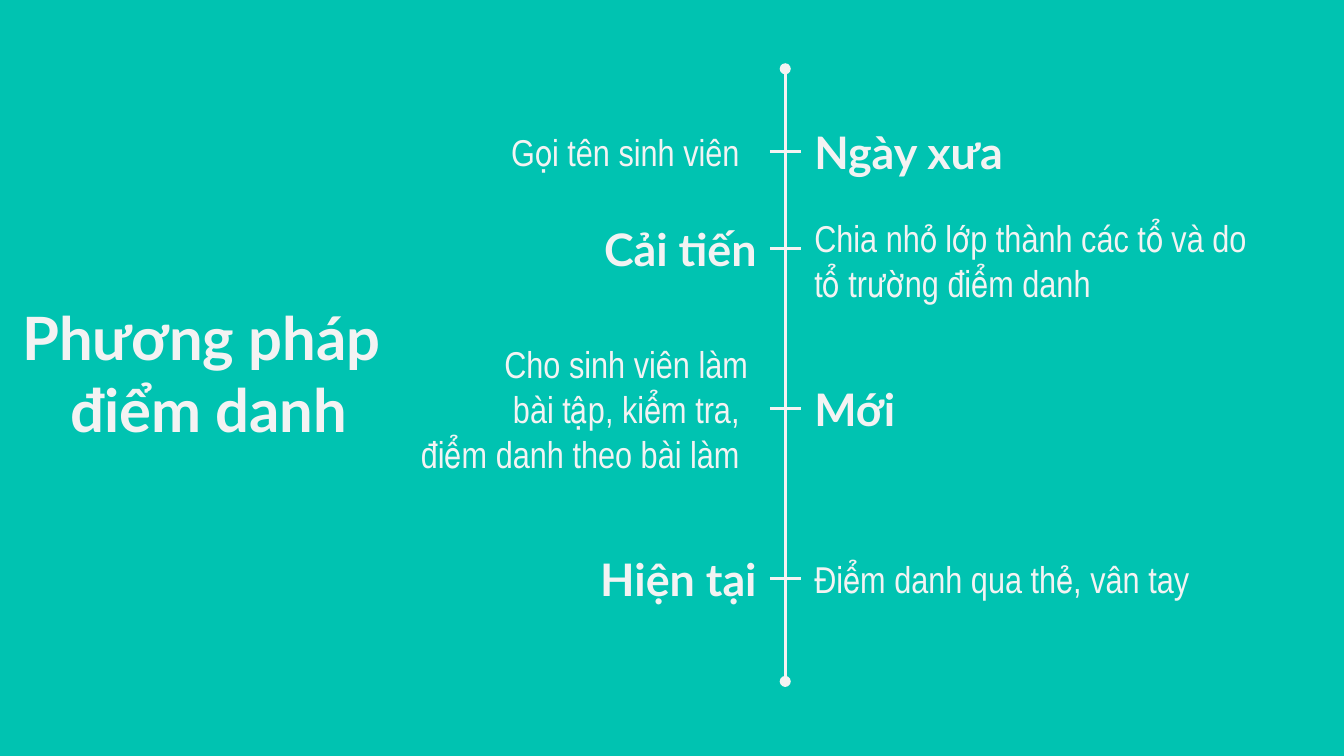
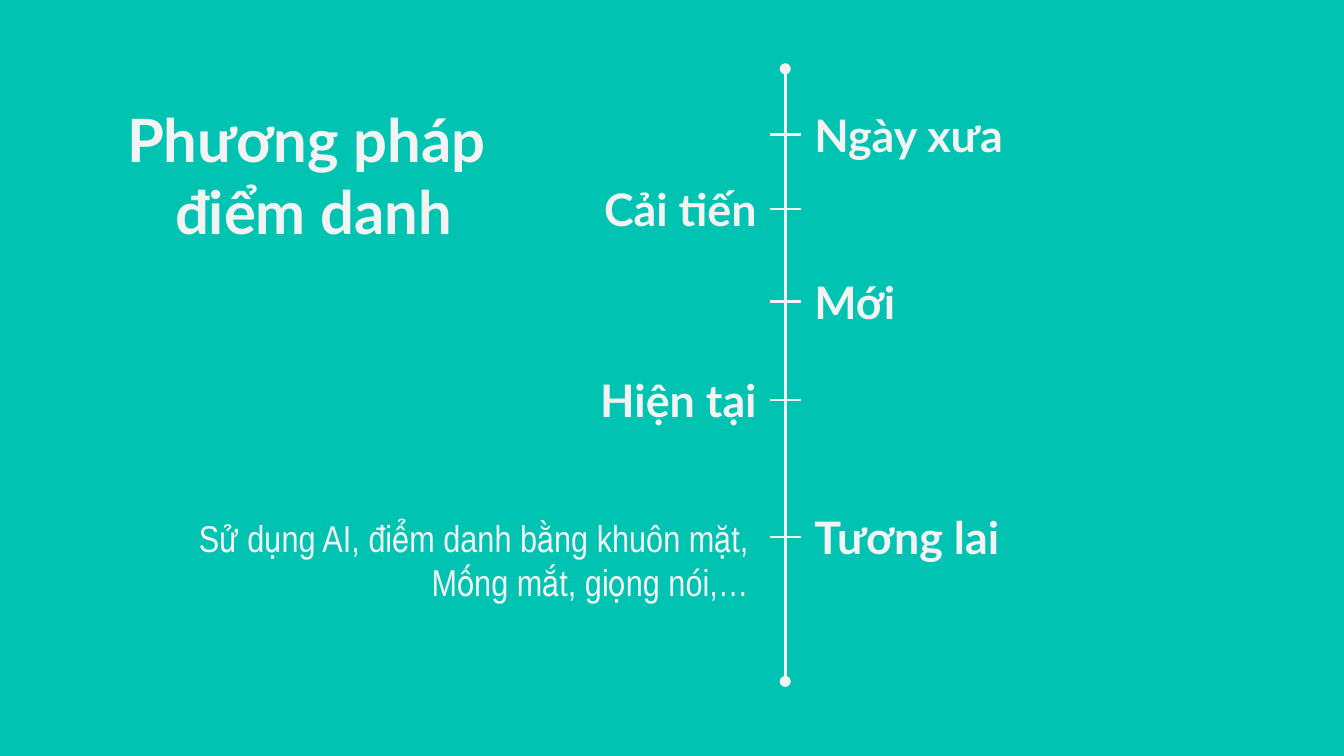
from dataclasses import dataclass

import pptx
import pptx.dml.color
import pptx.enum.shapes
import pptx.enum.text
import pptx.oxml
import pptx.oxml.ns
import pptx.util

Cm = pptx.util.Cm
Pt = pptx.util.Pt
Align = pptx.enum.text.PP_ALIGN
Anchor = pptx.enum.text.MSO_ANCHOR
STRAIGHT = pptx.enum.shapes.MSO_CONNECTOR.STRAIGHT


@dataclass(frozen=True)
class Theme:
    background = pptx.dml.color.RGBColor.from_string("00C3B1")
    ink = pptx.dml.color.RGBColor.from_string("F3F3F3")
    title = {"name": "Lato", "size": Pt(32), "bold": True}
    era = {"name": "Lato", "size": Pt(24), "bold": True}
    detail = {"name": "Arial Narrow", "size": Pt(20), "bold": False}
    line_width = Pt(1.5)
    inset = 0.25


THEME = Theme()

# Lengths in centimetres
AXIS_X, AXIS_TOP, AXIS_BOTTOM = 14.84, 1.3, 12.88
TICK_LEFT, TICK_RIGHT = 14.55, 15.14
ROW_WIDTH, ROW_HEIGHT = 5.74, 1.75
TITLE_WIDTH, TITLE_HEIGHT = 8.76, 3.43
TITLE_TEXT = "Phương pháp \vđiểm danh"
SPACE = 0.16


def add_text(slide, box, paragraphs, style, align, anchor=Anchor.MIDDLE,
             inset_y=THEME.inset):
    """Each paragraph is its text, or a pair of text and right indent."""
    textbox = slide.shapes.add_textbox(*(Cm(length) for length in box))
    frame = textbox.text_frame
    layout = {
        "word_wrap": True,
        "vertical_anchor": anchor,
        "margin_left": Cm(THEME.inset),
        "margin_right": Cm(THEME.inset),
        "margin_top": Cm(inset_y),
        "margin_bottom": Cm(inset_y),
    }
    for key, value in layout.items():
        setattr(frame, key, value)
    for index, entry in enumerate(paragraphs):
        text, indent = entry if isinstance(entry, tuple) else (entry, 0)
        paragraph = frame.add_paragraph() if index else frame.paragraphs[0]
        paragraph.text = text
        paragraph.alignment = align
        if indent:
            paragraph._p.get_or_add_pPr().set("marR", str(Cm(indent)))
        for run in paragraph.runs:
            for key, value in style.items():
                setattr(run.font, key, value)
            run.font.color.rgb = THEME.ink
    return textbox


def add_line(slide, start, end, round_ends=False):
    points = (Cm(length) for length in (*start, *end))
    line = slide.shapes.add_connector(STRAIGHT, *points)
    line.line.color.rgb = THEME.ink
    line.line.width = THEME.line_width
    if round_ends:
        outline = line.line._get_or_add_ln()
        for tag in ("a:headEnd", "a:tailEnd"):
            end_mark = pptx.oxml.ns.qn(tag)
            outline.append(outline.makeelement(end_mark, {"type": "oval"}))
    properties = line._element.spPr
    properties.append(properties.makeelement(pptx.oxml.ns.qn("a:effectLst"), {}))
    return line


def add_row_text(slide, side, y, paragraphs, style, width=ROW_WIDTH,
                 anchor=Anchor.MIDDLE):
    """Text beside the axis, its box centred on the height of the tick."""
    on_left = side == "left"
    left = TICK_LEFT - width if on_left else TICK_RIGHT
    box = (left, y - ROW_HEIGHT / 2, width, ROW_HEIGHT)
    align = Align.RIGHT if on_left else Align.LEFT
    return add_text(slide, box, paragraphs, style, align, anchor)


def add_era(slide, side, y, name, detail=None):
    """A tick with the era's name on one side and its detail on the other."""
    other = "right" if side == "left" else "left"
    boxes = {side: add_row_text(slide, side, y, [name], THEME.era)}
    if detail:
        boxes[other] = add_row_text(slide, other, y, style=THEME.detail, **detail)
    tick = add_line(slide, (TICK_LEFT, y), (TICK_RIGHT, y))
    if "left" in boxes:
        tick.begin_connect(boxes["left"], 3)
    if "right" in boxes:
        tick.end_connect(boxes["right"], 1)


def add_timeline_slide(deck, title_left, title_top, eras):
    slide = deck.slides.add_slide(deck.slide_layouts[6])
    slide.background.fill.solid()
    slide.background.fill.fore_color.rgb = THEME.background
    add_text(slide, (title_left, title_top, TITLE_WIDTH, TITLE_HEIGHT),
             [TITLE_TEXT], THEME.title, Align.CENTER, Anchor.TOP)
    add_line(slide, (AXIS_X, AXIS_TOP), (AXIS_X, AXIS_BOTTOM), round_ends=True)
    for era in eras:
        add_era(slide, *era)
    return slide


def main():
    deck = pptx.Presentation()
    deck.slide_width, deck.slide_height = Cm(25.4), Cm(14.29)

    add_timeline_slide(deck, -0.43, 5.44, [
        ("right", 2.86, "Ngày xưa",
         {"paragraphs": [("Gọi tên sinh viên", 2 * SPACE)]}),
        ("left", 4.69, "Cải tiến",
         {"paragraphs": ["Chia nhỏ lớp thành các tổ và do tổ trường điểm danh"],
          "width": 9.27, "anchor": Anchor.TOP}),
        ("right", 7.72, "Mới",
         {"paragraphs": [("Cho sinh viên làm", SPACE),
                         ("bài tập, kiểm tra,", 2 * SPACE),
                         "điểm danh theo bài làm"],
          "width": 8.05}),
        ("left", 10.93, "Hiện tại",
         {"paragraphs": ["Điểm danh qua thẻ, vân tay"], "width": 9.6}),
    ])

    future = add_timeline_slide(deck, 1.55, 1.7, [
        ("right", 2.55, "Ngày xưa"),
        ("left", 3.95, "Cải tiến"),
        ("right", 5.7, "Mới"),
        ("left", 7.56, "Hiện tại"),
        ("right", 10.15, "Tương lai"),
    ])
    outlook = add_text(
        future, (0.94, 9.6, 13.46, 1.96),
        ["Sử dụng AI, điểm danh bằng khuôn mặt,", "Mống mắt, giọng nói,…"],
        THEME.detail, Align.RIGHT, Anchor.TOP, inset_y=0.13)
    outlook.text_frame.auto_size = pptx.enum.text.MSO_AUTO_SIZE.SHAPE_TO_FIT_TEXT

    deck.save("out.pptx")


if __name__ == "__main__":
    main()
